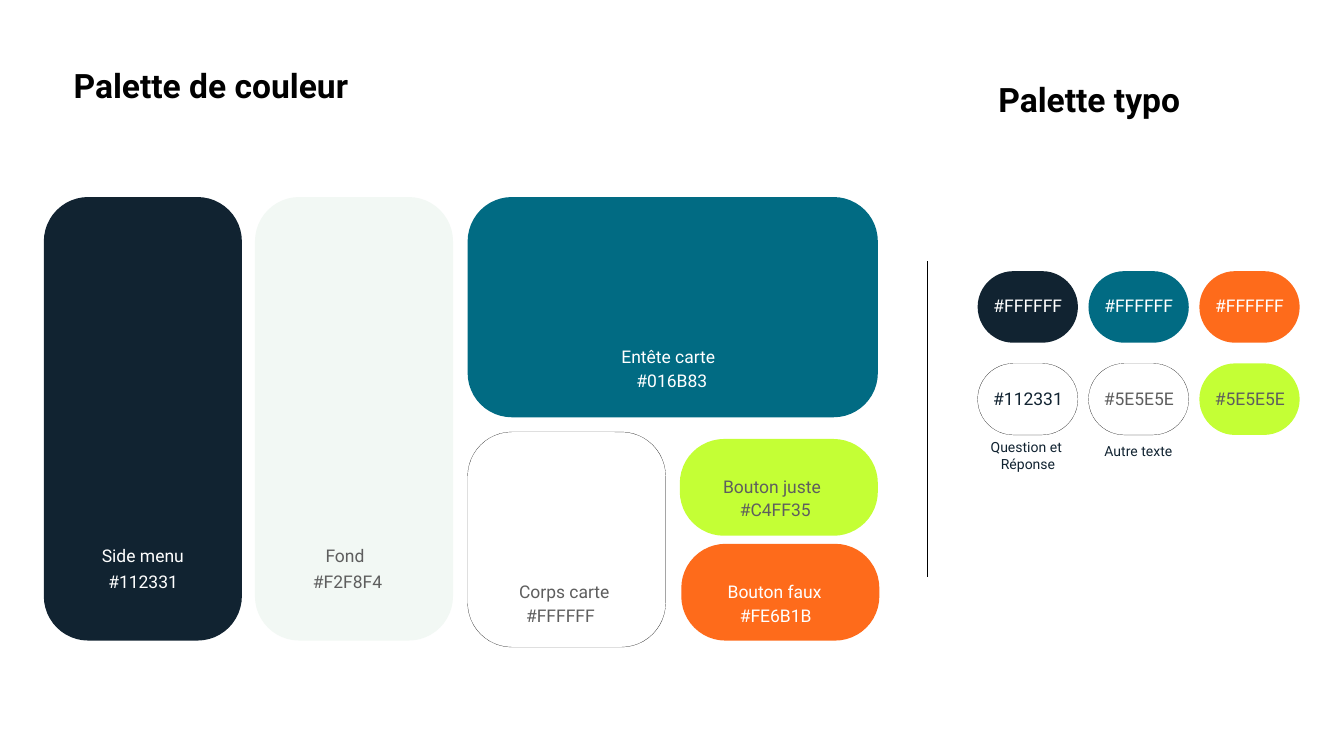
from dataclasses import dataclass

import pptx
import pptx.dml.color
import pptx.enum.shapes
import pptx.enum.text
import pptx.oxml.ns
import pptx.util
from lxml import etree

PX = 9144  # EMU per px, 100 px to the inch


@dataclass(frozen=True)
class Theme:
    font: str = "Roboto"
    black: str = "000000"
    white: str = "FFFFFF"
    navy: str = "112331"
    teal: str = "016B83"
    mist: str = "F2F8F4"
    lime: str = "C4FF35"
    orange: str = "FE6B1B"
    grey: str = "5E5E5E"
    title_size: int = 48
    label_size: int = 25
    caption_size: int = 20
    inset: int = 6
    corner: int = 88


THEME = Theme()
LEFT = None
CENTER = pptx.enum.text.PP_ALIGN.CENTER


def emu(*lengths):
    return [pptx.util.Emu(length * PX) for length in lengths]


def rgb(color):
    return pptx.dml.color.RGBColor.from_string(color)


def add_text(slide, box, lines, color, size=THEME.label_size, align=LEFT,
             bold=None, fitted=False, line_spacing=0.9, space_before=45):
    """Add middle-anchored text; a fitted box hugs its unwrapped text."""
    frame = slide.shapes.add_textbox(*emu(*box)).text_frame
    frame.word_wrap = not fitted
    if fitted:
        frame.auto_size = pptx.enum.text.MSO_AUTO_SIZE.SHAPE_TO_FIT_TEXT
    frame.vertical_anchor = pptx.enum.text.MSO_ANCHOR.MIDDLE
    inset, = emu(THEME.inset)
    frame.margin_left = frame.margin_right = inset
    frame.margin_top = frame.margin_bottom = inset
    frame.text = "\n".join(lines)
    for paragraph in frame.paragraphs:
        paragraph.alignment = align
        paragraph.line_spacing = line_spacing
        paragraph.space_before = pptx.util.Pt(space_before)
        paragraph.font.name = THEME.font
        paragraph.font.size = pptx.util.Pt(size)
        paragraph.font.bold = bold
        paragraph.font.color.rgb = rgb(color)


def add_title(slide, box, text):
    add_text(slide, box, [text], THEME.black, THEME.title_size,
             bold=True, fitted=True, line_spacing=0.2)


def add_swatch(slide, box, fill):
    """Add a rounded swatch; white ones get a hairline outline."""
    swatch = slide.shapes.add_shape(
        pptx.enum.shapes.MSO_SHAPE.ROUNDED_RECTANGLE, *emu(*box))
    swatch.shadow.inherit = False
    swatch.adjustments[0] = min(0.5, round(THEME.corner / min(box[2:]), 3))
    swatch.fill.solid()
    swatch.fill.fore_color.rgb = rgb(fill)
    if fill == THEME.white:
        swatch.line.color.rgb = rgb(THEME.black)
        swatch.line.width = pptx.util.Pt(0.25)
    else:
        swatch.line.fill.background()


def add_color_palette(slide, left, top):
    # swatch box, fill, text colour, alignment, name, name box, code box
    swatches = [
        ((0, 0, 393, 880), THEME.navy, THEME.white, CENTER,
         "Side menu", (98, 692, 197, 45), (113, 742, 168, 45)),
        ((419, 0, 393, 880), THEME.mist, THEME.grey, LEFT,
         "Fond", (134, 692, 104, 45), (109, 742, 153, 45)),
        ((841, 0, 814, 437), THEME.teal, THEME.white, LEFT,
         "Entête carte", (299, 297, 216, 45), (329, 345, 153, 45)),
        ((841, 466, 393, 427), THEME.white, THEME.grey, LEFT,
         "Corps carte", (96, 286, 197, 65), (110, 344, 153, 45)),
        ((1262, 480, 393, 192), THEME.lime, THEME.grey, LEFT,
         "Bouton juste", (80, 74, 234, 45), (113, 121, 168, 45)),
        ((1265, 688, 393, 192), THEME.orange, THEME.white, LEFT,
         "Bouton faux", (86, 74, 216, 45), (110, 122, 168, 45)),
    ]
    for (x, y, *size), fill, color, align, name, name_box, code_box in swatches:
        x, y = left + x, top + y
        add_swatch(slide, (x, y, *size), fill)
        for text, (dx, dy, *text_size) in ((name, name_box),
                                           (f"#{fill}", code_box)):
            add_text(slide, (x + dx, y + dy, *text_size), [text], color,
                     align=align)


def add_type_palette(slide, left, top):
    """Place two rows of chips showing text colours, with captions below."""
    column_step, row_step = 220, 183
    rows = [
        ((24, 45, 151, 52), True, [(THEME.navy, THEME.white),
                                   (THEME.teal, THEME.white),
                                   (THEME.orange, THEME.white)]),
        ((16, 49, 168, 45), False, [(THEME.white, THEME.navy),
                                    (THEME.white, THEME.grey),
                                    (THEME.lime, THEME.grey)]),
    ]
    for row, ((dx, dy, *size), fitted, chips) in enumerate(rows):
        for column, (fill, color) in enumerate(chips):
            x, y = left + column * column_step, top + row * row_step
            add_swatch(slide, (x, y, 199, 142), fill)
            add_text(slide, (x + dx, y + dy, *size), [f"#{color}"], color,
                     align=CENTER, fitted=fitted)

    add_text(slide, (left + 16, top + 331, 168, 90),
             ["Question et ", "Réponse"], THEME.navy, THEME.caption_size,
             CENTER, line_spacing=0.1, space_before=22)
    add_text(slide, (left + column_step + 15, top + 336, 168, 45),
             ["Autre texte"], THEME.navy, THEME.caption_size, CENTER)


def add_divider(slide, x, top, bottom):
    divider = slide.shapes.add_connector(
        pptx.enum.shapes.MSO_CONNECTOR.STRAIGHT, *emu(x, bottom, x, top))
    divider.line.color.rgb = rgb(THEME.black)
    divider.line.width = pptx.util.Pt(2)
    properties = divider.line._get_or_add_ln().getparent()
    etree.SubElement(properties, pptx.oxml.ns.qn("a:effectLst"))


def main():
    presentation = pptx.Presentation()
    presentation.slide_width, presentation.slide_height = emu(2667, 1500)
    slide = presentation.slides.add_slide(presentation.slide_layouts[6])
    add_title(slide, (140, 146, 591, 90), "Palette de couleur")
    add_color_palette(slide, 87, 391)
    add_divider(slide, 1841, 518, 1144)
    add_title(slide, (1975, 174, 394, 90), "Palette typo")
    add_type_palette(slide, 1940, 538)
    presentation.save("out.pptx")


if __name__ == "__main__":
    main()
